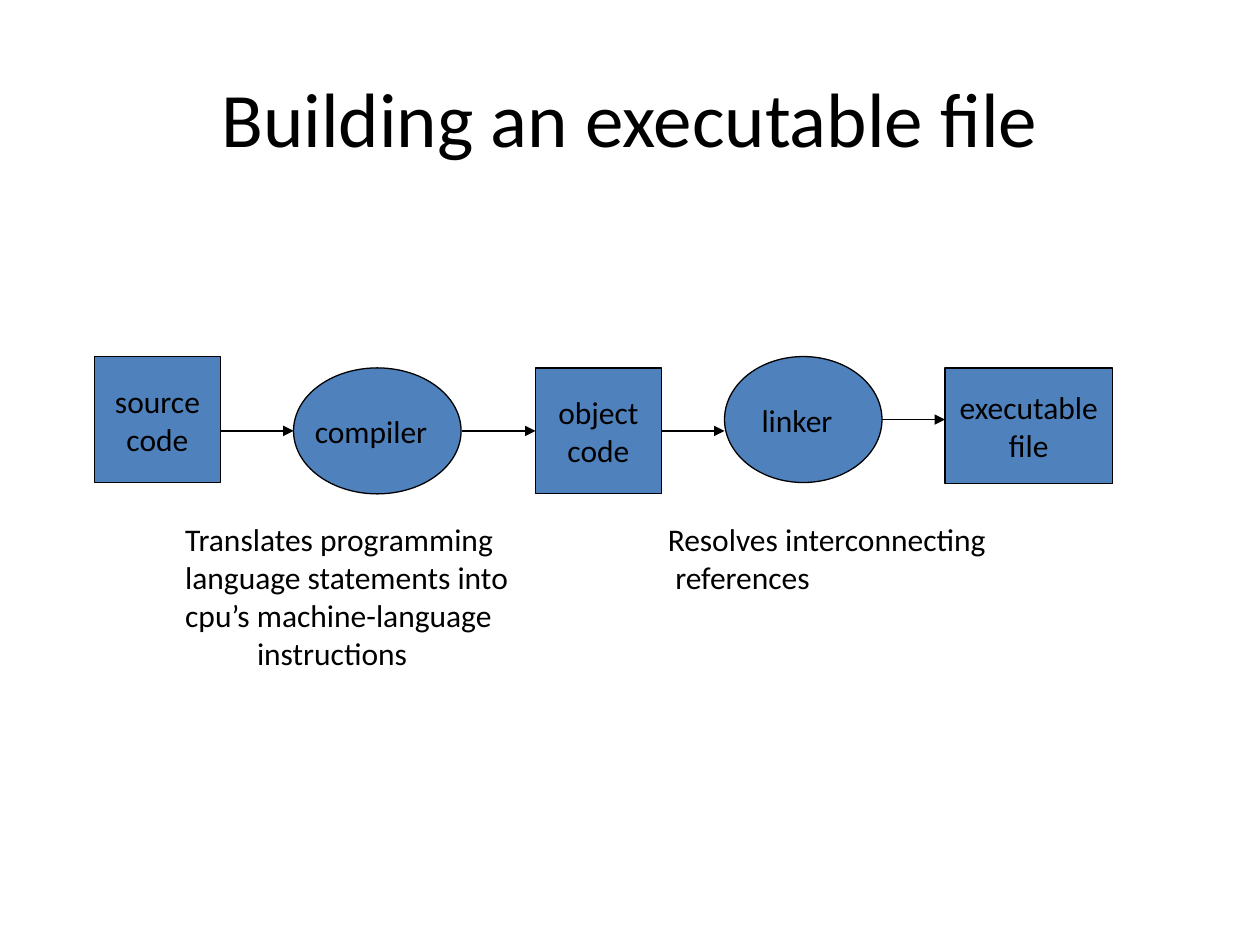
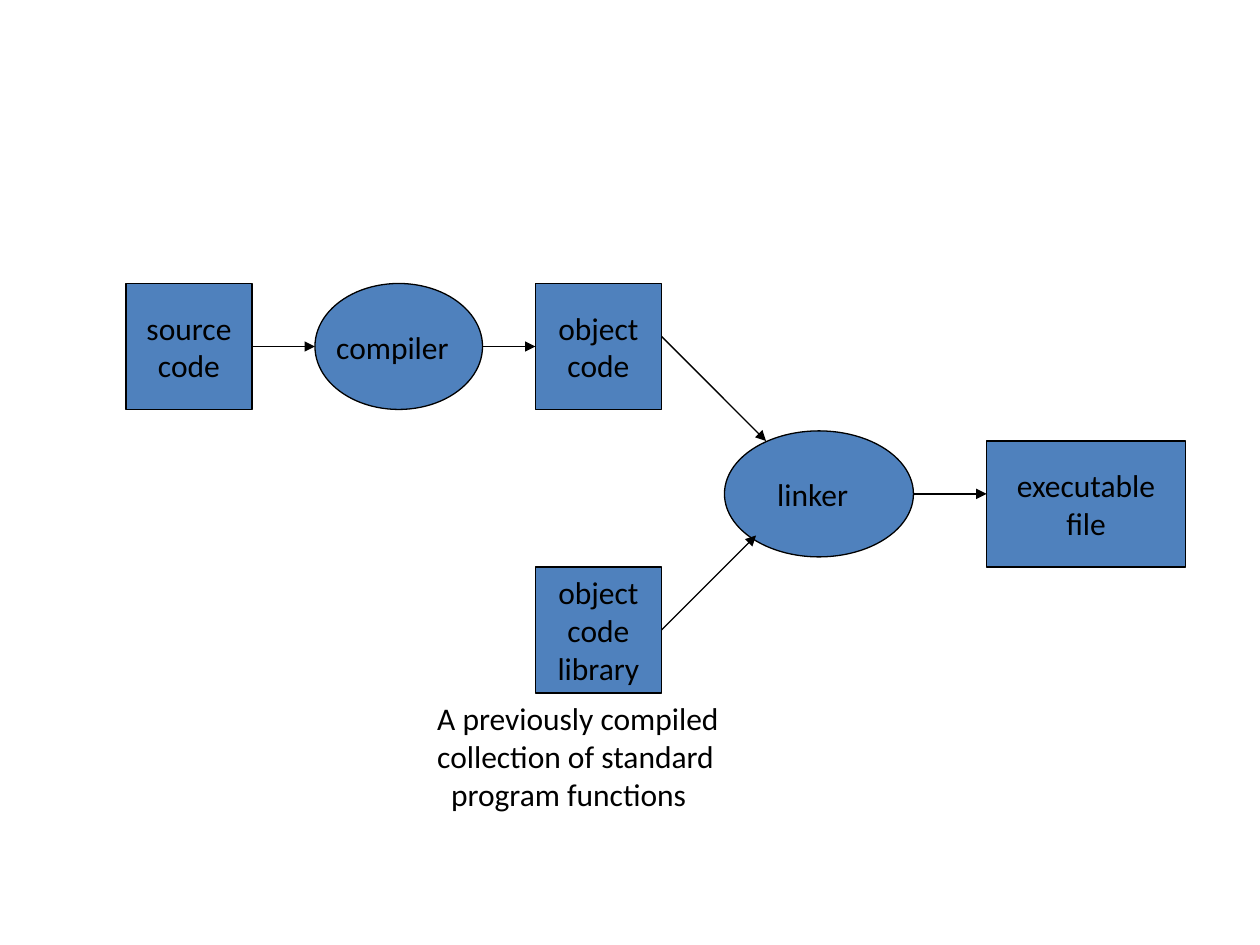
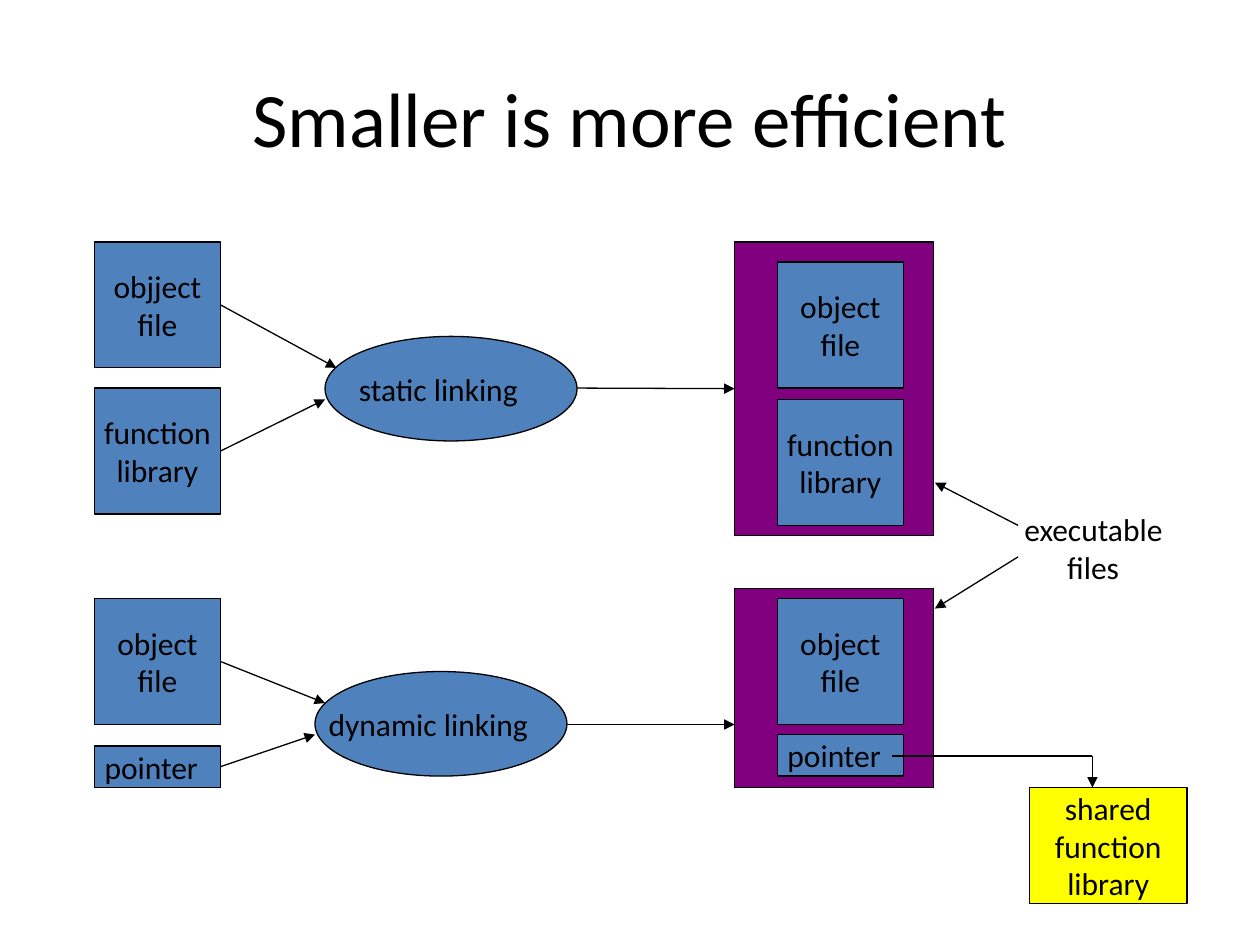
from pptx import Presentation
from pptx.dml.color import RGBColor
from pptx.enum.shapes import MSO_CONNECTOR, MSO_SHAPE
from pptx.enum.text import MSO_ANCHOR, PP_ALIGN
from pptx.oxml.ns import qn
from pptx.util import Inches, Pt
from lxml import etree

RECT, OVAL = MSO_SHAPE.RECTANGLE, MSO_SHAPE.OVAL
STRAIGHT = MSO_CONNECTOR.STRAIGHT
CENTER, LEFT = PP_ALIGN.CENTER, PP_ALIGN.LEFT
MIDDLE, TOP = MSO_ANCHOR.MIDDLE, MSO_ANCHOR.TOP
LEFT_SIDE, RIGHT_SIDE = 1, 3

BLACK = RGBColor(0x00, 0x00, 0x00)
BLUE = RGBColor(0x4F, 0x81, 0xBD)
PURPLE = RGBColor(0x80, 0x00, 0x80)
YELLOW = RGBColor(0xFF, 0xFF, 0x00)

FONT = "Calibri"
TITLE_SIZE, BODY_SIZE = Pt(44), Pt(18)
LINE_WIDTH = Pt(0.75)
INSET = 0.05
ONE_LINE_SHIFT = 0.1  # right inset that moves one-line labels slightly left


def write(tf, lines, size, align, anchor, insets, wrap):
    """Fill a text frame with one paragraph per line."""
    tf.word_wrap = wrap
    tf.vertical_anchor = anchor
    tf.margin_left, tf.margin_top, tf.margin_right, tf.margin_bottom = map(Inches, insets)
    for i, line in enumerate(lines):
        p = tf.paragraphs[0] if i == 0 else tf.add_paragraph()
        p.text = line
        p.alignment = align
        p.font.name, p.font.size, p.font.color.rgb = FONT, size, BLACK


def add_text(slide, box, lines, size=BODY_SIZE, align=LEFT, anchor=TOP):
    sp = slide.shapes.add_textbox(*map(Inches, box))
    write(sp.text_frame, lines, size, align, anchor, [INSET] * 4, True)
    return sp


def add_title(slide, text):
    add_text(slide, (0.5, 0.3, 9, 1.25), [text], TITLE_SIZE, CENTER, MIDDLE)


def add_caption(slide, box, lines, last_indent):
    """Add left-aligned lines, the last one indented."""
    sp = add_text(slide, box, lines)
    pPr = sp.text_frame.paragraphs[-1]._p.get_or_add_pPr()
    pPr.set("marL", str(Inches(last_indent)))
    pPr.set("indent", "0")


def add_node(slide, kind, box, *lines, fill=BLUE, shift=ONE_LINE_SHIFT):
    sp = slide.shapes.add_shape(kind, *map(Inches, box))
    sp.shadow.inherit = False
    sp.fill.solid()
    sp.fill.fore_color.rgb = fill
    sp.line.color.rgb = BLACK
    sp.line.width = LINE_WIDTH
    if lines:
        right = shift if len(lines) == 1 else 0
        write(sp.text_frame, lines, BODY_SIZE, CENTER, MIDDLE, (0, 0, right, 0), False)
    return sp


def add_line(slide, start, end, head=True):
    """Draw from start to end; a box stands for its right side (start) or left side (end)."""
    begin_box = None if isinstance(start, tuple) else start
    end_box = None if isinstance(end, tuple) else end
    x1, y1 = ((begin_box.left + begin_box.width, begin_box.top + begin_box.height // 2)
              if begin_box else map(Inches, start))
    x2, y2 = ((end_box.left, end_box.top + end_box.height // 2)
              if end_box else map(Inches, end))
    line = slide.shapes.add_connector(STRAIGHT, x1, y1, x2, y2)
    if begin_box:
        line.begin_connect(begin_box, RIGHT_SIDE)
    if end_box:
        line.end_connect(end_box, LEFT_SIDE)
    line.line.color.rgb = BLACK
    line.line.width = LINE_WIDTH
    if head:
        etree.SubElement(line.line._get_or_add_ln(), qn("a:tailEnd"), type="triangle")
    etree.SubElement(line._element.spPr, qn("a:effectLst"))


def build_executable(slide):
    add_title(slide, "Building an executable file")
    add_node(slide, RECT, (0.75, 2.83, 1, 1), "source", "code")
    add_node(slide, OVAL, (2.33, 2.92, 1.33, 1), "compiler")
    object_code = add_node(slide, RECT, (4.25, 2.92, 1, 1), "object", "code")
    add_node(slide, OVAL, (5.75, 2.83, 1.25, 1), "linker")
    add_node(slide, RECT, (7.5, 2.92, 1.33, 0.92), "executable", "file")
    add_line(slide, (1.75, 3.42), (2.33, 3.42))
    add_line(slide, (3.67, 3.42), object_code)
    add_line(slide, object_code, (5.75, 3.42))
    add_line(slide, (7, 3.33), (7.5, 3.33))
    add_caption(slide, (1.42, 4.08, 3.03, 1.27),
                ["Translates programming", "language statements into",
                 "cpu’s machine-language", "instructions"], 0.57)
    add_caption(slide, (5.25, 4.08, 2.97, 0.68),
                ["Resolves interconnecting", "references"], 0.06)


def build_library(slide):
    source = add_node(slide, RECT, (1, 2.25, 1, 1), "source", "code")
    object_code = add_node(slide, RECT, (4.25, 2.25, 1, 1), "object", "code")
    library = add_node(slide, RECT, (4.25, 4.5, 1, 1), "object", "code", "library")
    add_node(slide, RECT, (7.83, 3.5, 1.58, 1), "executable", "file")
    add_node(slide, OVAL, (2.5, 2.25, 1.33, 1), "compiler")
    add_node(slide, OVAL, (5.75, 3.42, 1.5, 1), "linker")
    add_line(slide, source, (2.5, 2.75))
    add_line(slide, (3.83, 2.75), object_code)
    add_line(slide, (5.25, 2.67), (6.08, 3.5))
    add_line(slide, library, (6, 4.25))
    add_line(slide, (7.25, 3.92), (7.83, 3.92))
    add_caption(slide, (3.42, 5.5, 2.65, 0.97),
                ["A previously compiled", "collection of standard", "program functions"], 0.11)


def build_linking(slide):
    add_title(slide, "Smaller is more efficient")

    static_object = add_node(slide, RECT, (0.75, 1.92, 1, 1), "objject", "file")
    static_library = add_node(slide, RECT, (0.75, 3.08, 1, 1), "function", "library")
    add_node(slide, OVAL, (2.58, 2.67, 2, 0.83), "static linking", shift=0.2)
    static_file = add_node(slide, RECT, (5.83, 1.92, 1.58, 2.33), fill=PURPLE)
    add_node(slide, RECT, (6.17, 2.08, 1, 1), "object", "file")
    add_node(slide, RECT, (6.17, 3.17, 1, 1), "function", "library")
    add_line(slide, static_object, (2.67, 2.92))
    add_line(slide, static_library, (2.58, 3.17))
    add_line(slide, (4.58, 3.08), static_file)

    dynamic_object = add_node(slide, RECT, (0.75, 4.75, 1, 1), "object", "file")
    pointer = add_node(slide, RECT, (0.75, 5.92, 1, 0.33), "pointer")
    add_node(slide, OVAL, (2.5, 5.33, 2, 0.83), "dynamic linking", shift=0.2)
    add_node(slide, RECT, (5.83, 4.67, 1.58, 1.58), fill=PURPLE)
    add_node(slide, RECT, (6.17, 4.75, 1, 1), "object", "file")
    add_node(slide, RECT, (6.17, 5.83, 1, 0.33), "pointer")
    add_line(slide, dynamic_object, (2.58, 5.58))
    add_line(slide, pointer, (2.5, 5.83))
    add_line(slide, (4.5, 5.75), (5.83, 5.75))

    add_node(slide, RECT, (8.17, 6.25, 1.25, 0.92), "shared", "function", "library", fill=YELLOW)
    add_line(slide, (8.67, 6), (8.67, 6.25))
    add_line(slide, (8.67, 6), (7.08, 6), head=False)

    add_caption(slide, (8.08, 4, 1.43, 0.68), ["executable", "files"], 0.34)
    add_line(slide, (8.08, 4.17), (7.42, 3.83))
    add_line(slide, (8.08, 4.42), (7.42, 4.83))


def main():
    prs = Presentation()
    prs.slide_width, prs.slide_height = Inches(10), Inches(7.5)
    blank = prs.slide_layouts[6]
    for build in (build_executable, build_library, build_linking):
        build(prs.slides.add_slide(blank))
    prs.save("out.pptx")


if __name__ == "__main__":
    main()
